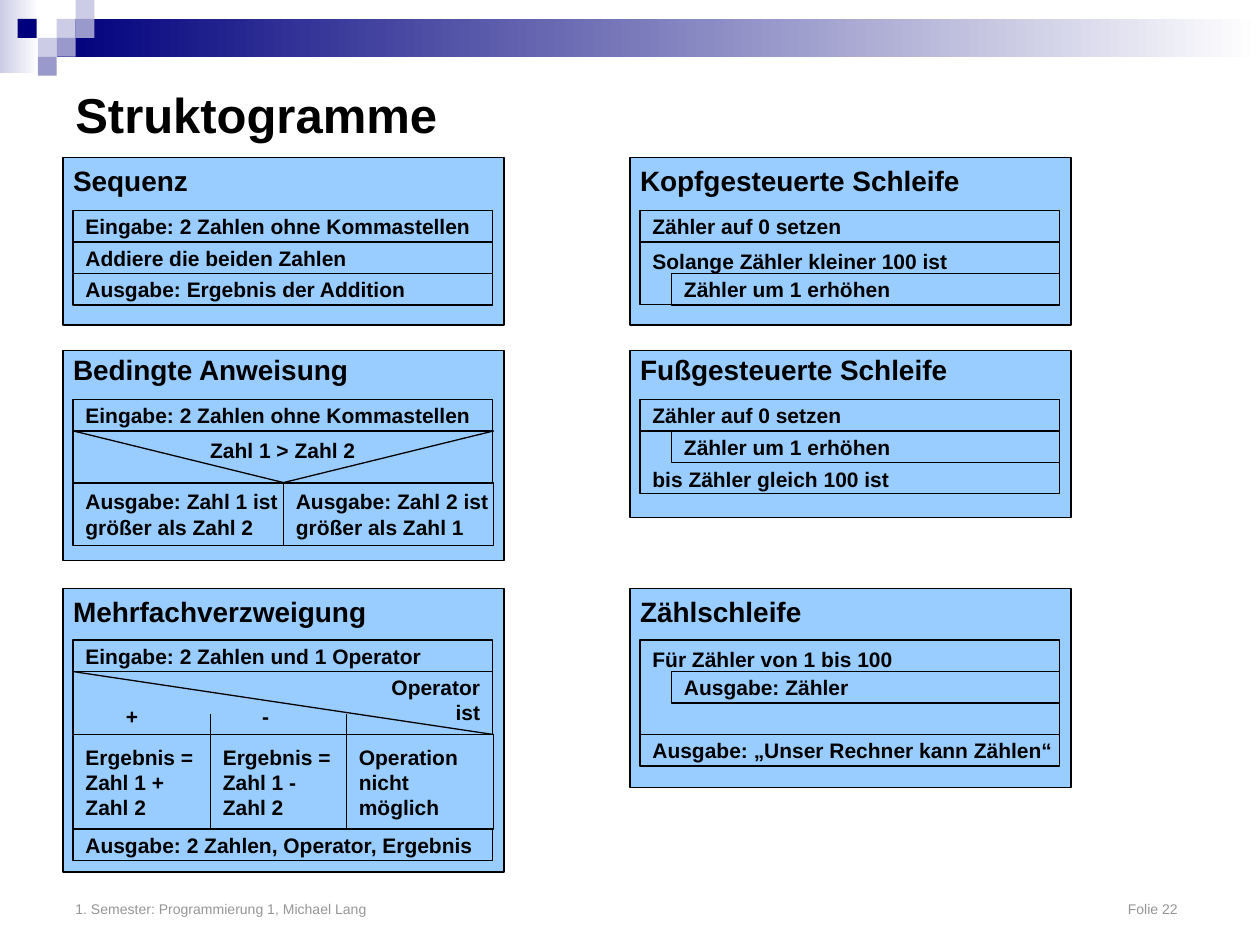
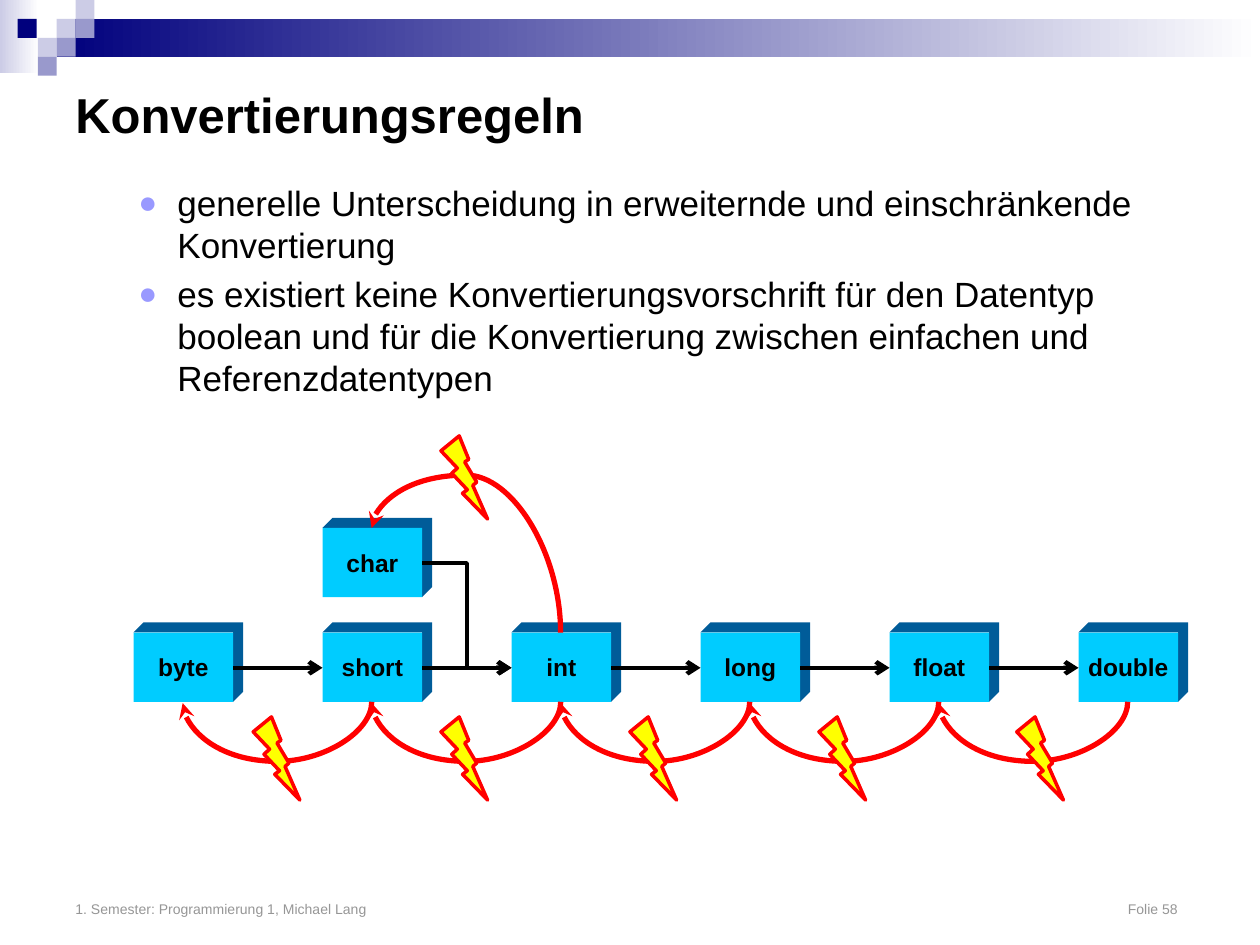
from itertools import pairwise

from pptx import Presentation
from pptx.dml.color import RGBColor
from pptx.enum.shapes import MSO_CONNECTOR, MSO_SHAPE
from pptx.enum.text import MSO_ANCHOR, PP_ALIGN
from pptx.oxml.ns import qn
from pptx.oxml.xmlchemy import OxmlElement
from pptx.util import Inches, Pt

COLORS = {
    "black": "000000", "gray": "969696", "navy": "00007D", "white": "FFFFFF",
    "lavender": "CCCCE6", "violet": "9999CC", "bullet": "9999FF",
    "panel": "99CCFF", "face": "00CCFF", "side": "005C99",
    "red": "FF0000", "yellow": "FFFF00",
}
INNER_WIDTH = 3.33
ROW = 0.25
INDENT = 0.25


def add_element(parent, tag, **attributes):
    """Append an XML element with attributes and return it."""
    element = OxmlElement(tag)
    for name, value in attributes.items():
        element.set(name, str(value))
    parent.append(element)
    return element


class SlideBuilder:
    """Draws styled elements on the current slide."""

    def __init__(self, deck):
        """Remember the deck that receives the slides."""
        self.deck = deck
        self.slide = None

    def color(self, name):
        """Return a named colour."""
        return RGBColor.from_string(COLORS[name])

    def new_slide(self, title, number):
        """Start a slide with band, title and footer."""
        self.slide = self.deck.slides.add_slide(self.deck.slide_layouts[6])
        self.gradient(0, 0, 0.31, 0.58, "lavender")
        self.gradient(0.45, 0.15, 9.55, 0.3, "navy")
        for left, top, fill in [
            (0.45, 0.15, "lavender"), (0.6, 0, "lavender"), (0.6, 0.15, "violet"),
            (0.3, 0.3, "lavender"), (0.14, 0.15, "navy"), (0.45, 0.3, "violet"),
            (0.3, 0.45, "violet"),
        ]:
            self.shape(left, top, 0.15, 0.15, fill)
        footer = self.text(0.5, 6.83, 9, 0.5,
                           [f"1. Semester: Programmierung 1, Michael Lang\tFolie {number}"],
                           size=8, bold=False, color="gray", anchor=MSO_ANCHOR.BOTTOM, wrap=True)
        tabs = add_element(footer.text_frame.paragraphs[0]._p.get_or_add_pPr(), "a:tabLst")
        add_element(tabs, "a:tab", pos=Inches(8.75), algn="r")
        self.text(0.5, 0.5, 9, 0.81, [title], size=28, wrap=True)

    def paint(self, shape, fill=None, line=None, width=0.75):
        """Set fill and outline and remove the shadow."""
        shape.shadow.inherit = False
        for target, name in ((shape.fill, fill), (shape.line.fill, line)):
            if name:
                target.solid()
                target.fore_color.rgb = self.color(name)
            else:
                target.background()
        if line:
            shape.line.width = Pt(width)

    def shape(self, left, top, width, height, fill=None, line=None, line_width=0.75,
              kind=MSO_SHAPE.RECTANGLE):
        """Add a preset shape."""
        shape = self.slide.shapes.add_shape(
            kind, Inches(left), Inches(top), Inches(width), Inches(height))
        self.paint(shape, fill, line, line_width)
        return shape

    def gradient(self, left, top, width, height, start):
        """Add a rectangle that fades to white."""
        fill = self.shape(left, top, width, height).fill
        fill.gradient()
        fill.gradient_angle = 0
        for stop, name in zip(fill.gradient_stops, (start, "white")):
            stop.color.rgb = self.color(name)

    def set_text(self, shape, lines, size=12, bold=True, color="black", align=PP_ALIGN.LEFT,
                 anchor=MSO_ANCHOR.MIDDLE, wrap=False, insets=(0.1, 0.05, 0.1, 0.05)):
        """Fill a shape with one paragraph per line."""
        frame = shape.text_frame
        left, top, right, bottom = map(Inches, insets)
        frame_format = {"word_wrap": wrap, "vertical_anchor": anchor, "margin_left": left,
                        "margin_top": top, "margin_right": right, "margin_bottom": bottom}
        for name, value in frame_format.items():
            setattr(frame, name, value)
        for index, line in enumerate(lines):
            para = frame.add_paragraph() if index else frame.paragraphs[0]
            para.alignment = align
            span = para.add_run()
            span.text = line
            for name, value in {"name": "Arial", "size": Pt(size), "bold": bold}.items():
                setattr(span.font, name, value)
            span.font.color.rgb = self.color(color)

    def text(self, left, top, width, height, lines, **style):
        """Add a text box."""
        box = self.slide.shapes.add_textbox(
            Inches(left), Inches(top), Inches(width), Inches(height))
        self.set_text(box, lines, **style)
        return box

    def bullets(self, left, top, width, height, lines):
        """Add a bulleted list."""
        box = self.text(left, top, width, height, lines, size=20, bold=False,
                        anchor=MSO_ANCHOR.TOP, wrap=True)
        for para in box.text_frame.paragraphs:
            para.space_before = Pt(4)
            properties = para._p.get_or_add_pPr()
            properties.set("marL", str(Inches(0.81)))
            properties.set("indent", str(Inches(-0.31)))
            add_element(add_element(properties, "a:buClr"), "a:srgbClr", val=COLORS["bullet"])
            add_element(properties, "a:buSzPct", val=90000)
            add_element(properties, "a:buFont", typeface="Arial")
            add_element(properties, "a:buChar", char="●")

    def panel(self, left, top, height, heading, heading_top, heading_width):
        """Add a blue panel with its heading."""
        self.shape(left, top, 3.5, height, "panel", "black")
        self.text(left + 0.08, heading_top, heading_width, 0.37, [heading], size=16,
                  anchor=MSO_ANCHOR.TOP, insets=(0, 0.05, 0.1, 0.05))

    def cell(self, left, top, *lines, width=INNER_WIDTH, height=ROW, **style):
        """Add an outlined cell of a structure chart."""
        self.set_text(self.shape(left, top, width, height, line="black"), lines, **style)

    def line(self, start, end, color="black", width=0.75, arrow=None,
             kind=MSO_CONNECTOR.STRAIGHT):
        """Add a connector, with an arrowhead if named."""
        connector = self.slide.shapes.add_connector(kind, *map(Inches, (*start, *end)))
        connector.line.color.rgb = self.color(color)
        connector.line.width = Pt(width)
        properties = connector._element.spPr
        if arrow:
            add_element(properties.find(qn("a:ln")), "a:tailEnd", type=arrow)
        add_element(properties, "a:effectLst")
        return connector

    def arc(self, start, end, reach):
        """Add a red curved arrow that leaves vertically by reach."""
        middle_x, middle_y = (start[0] + end[0]) / 2, (start[1] + end[1]) / 2
        across, down = start[0] - middle_x, start[1] - middle_y
        connector = self.line((middle_x + down, middle_y - across),
                              (middle_x - down, middle_y + across),
                              "red", 3, "stealth", MSO_CONNECTOR.CURVE)
        connector.rotation = 90
        geometry = connector._element.spPr.find(qn("a:prstGeom"))
        guides = geometry.find(qn("a:avLst"))
        if guides is None:
            guides = add_element(geometry, "a:avLst")
        ratio = round(reach / (end[1] - start[1]) * 100000)
        add_element(guides, "a:gd", name="adj1", fmla=f"val {ratio}")

    def type_block(self, left, top, name):
        """Add a block with depth that names a data type."""
        width, height, depth = 0.79, 0.55, 0.08
        outline = self.slide.shapes.build_freeform(Inches(left), Inches(top), scale=1.0)
        corners = [(depth, -depth), (width + depth, -depth), (width + depth, height - depth),
                   (width, height), (width, 0)]
        outline.add_line_segments(
            [(Inches(left + x), Inches(top + y)) for x, y in corners], close=True)
        self.paint(outline.convert_to_shape(), "side")
        self.set_text(self.shape(left, top, width, height, "face"), [name], size=14,
                      align=PP_ALIGN.CENTER, insets=(0, 0.05, 0, 0.05))

    def bolt(self, left, top):
        """Add a lightning bolt."""
        self.shape(left, top, 0.37, 0.66, "yellow", "red", 2, MSO_SHAPE.LIGHTNING_BOLT)


def draw_branches(page):
    """Draw the left column: sequence and branches."""
    left, right, middle = 0.58, 3.92, 2.25
    page.panel(0.5, 1.25, 1.33, "Sequenz", 1.25, 1.01)
    for row, line in enumerate(["Eingabe: 2 Zahlen ohne Kommastellen",
                                "Addiere die beiden Zahlen",
                                "Ausgabe: Ergebnis der Addition"]):
        page.cell(left, 1.67 + row * ROW, line)

    page.panel(0.5, 2.78, 1.67, "Bedingte Anweisung", 2.75, 2.3)
    page.cell(left, 3.17, "Eingabe: 2 Zahlen ohne Kommastellen")
    page.cell(left, 3.42, "Zahl 1 > Zahl 2", height=0.42, align=PP_ALIGN.CENTER,
              anchor=MSO_ANCHOR.TOP)
    for side in (left, right):
        page.line((middle, 3.83), (side, 3.42))
    for side, larger, smaller in ((left, 1, 2), (middle, 2, 1)):
        page.cell(side, 3.83, f"Ausgabe: Zahl {larger} ist", f"größer als Zahl {smaller}",
                  width=1.67, height=0.5)

    page.panel(0.5, 4.67, 2.25, "Mehrfachverzweigung", 4.67, 2.43)
    page.cell(left, 5.08, "Eingabe: 2 Zahlen und 1 Operator")
    page.cell(left, 5.33, "Operator", "ist", height=0.5, align=PP_ALIGN.RIGHT,
              anchor=MSO_ANCHOR.TOP, insets=(0.1, 0.02, 0.1, 0.05))
    page.line((right, 5.83), (left, 5.33))
    edges = [left, 1.67, 2.75, right]
    cases = [("Ergebnis =", "Zahl 1 +", "Zahl 2"), ("Ergebnis =", "Zahl 1 -", "Zahl 2"),
             ("Operation", "nicht", "möglich")]
    for (start, end), case in zip(pairwise(edges), cases):
        page.cell(start, 5.83, *case, width=end - start, height=0.75)
    for edge in edges[1:3]:
        page.line((edge, 5.83), (edge, 5.67))
    for sign_left, width, sign in ((1, 0.1, "+"), (2.08, 0.06, "-")):
        page.text(sign_left, 5.58, width, 0.2, [sign], anchor=MSO_ANCHOR.TOP,
                  insets=(0, 0, 0, 0))
    page.cell(left, 6.58, "Ausgabe: 2 Zahlen, Operator, Ergebnis")


def draw_loops(page):
    """Draw the right column: three kinds of loop."""
    left = 5.08
    nested = {"width": INNER_WIDTH - INDENT}
    page.panel(5, 1.25, 1.33, "Kopfgesteuerte Schleife", 1.25, 2.64)
    page.cell(left, 1.92, "Solange Zähler kleiner 100 ist", height=0.5, anchor=MSO_ANCHOR.TOP)
    page.cell(left + INDENT, 2.17, "Zähler um 1 erhöhen", **nested)
    page.cell(left, 1.67, "Zähler auf 0 setzen")

    page.panel(5, 2.78, 1.33, "Fußgesteuerte Schleife", 2.75, 2.55)
    page.cell(left, 3.42, "bis Zähler gleich 100 ist", height=0.5, anchor=MSO_ANCHOR.BOTTOM,
              insets=(0.1, 0.05, 0.1, 0.02))
    page.cell(left + INDENT, 3.42, "Zähler um 1 erhöhen", **nested)
    page.cell(left, 3.17, "Zähler auf 0 setzen")

    page.panel(5, 4.67, 1.58, "Zählschleife", 4.67, 1.39)
    page.cell(left, 5.08, "Für Zähler von 1 bis 100", height=0.75, anchor=MSO_ANCHOR.TOP)
    page.cell(left + INDENT, 5.33, "Ausgabe: Zähler", **nested)
    page.cell(left, 5.83, "Ausgabe: „Unser Rechner kann Zählen“")


def draw_conversions(page):
    """Draw the rules and the chain of data types."""
    page.bullets(0.5, 1.39, 9, 5.45, [
        "generelle Unterscheidung in erweiternde und einschränkende Konvertierung",
        "es existiert keine Konvertierungsvorschrift für den Datentyp boolean und für die "
        "Konvertierung zwischen einfachen und Referenzdatentypen",
    ])
    names = ["byte", "short", "int", "long", "float", "double"]
    lefts = [1.06 + 1.5 * index for index in range(len(names))]
    for left, name in zip(lefts, names):
        page.type_block(left, 5.02, name)
    page.type_block(lefts[1], 4.19, "char")
    for left, following in pairwise(lefts):
        page.line((left + 0.79, 5.3), (following, 5.3), width=2.5, arrow="arrow")
    page.line((lefts[1] + 0.79, 4.47), (lefts[2], 5.3), width=2.5, arrow="arrow",
              kind=MSO_CONNECTOR.ELBOW)
    centers = [left + 0.39 for left in lefts]
    for center, following in reversed(list(pairwise(centers))):
        page.arc((following, 5.57), (center, 5.58), 0.48)
    page.arc((centers[2], 5.02), (centers[1], 4.19), -1.25)
    for bolt_left in (2.01, 3.5, 5, 6.5, 8.07):
        page.bolt(bolt_left, 5.69)
    page.bolt(3.5, 3.46)


def main():
    """Build and save the deck."""
    deck = Presentation()
    deck.slide_width, deck.slide_height = Inches(10), Inches(7.5)
    page = SlideBuilder(deck)
    page.new_slide("Struktogramme", 22)
    draw_branches(page)
    draw_loops(page)
    page.new_slide("Konvertierungsregeln", 58)
    draw_conversions(page)
    deck.save("out.pptx")


if __name__ == "__main__":
    main()
